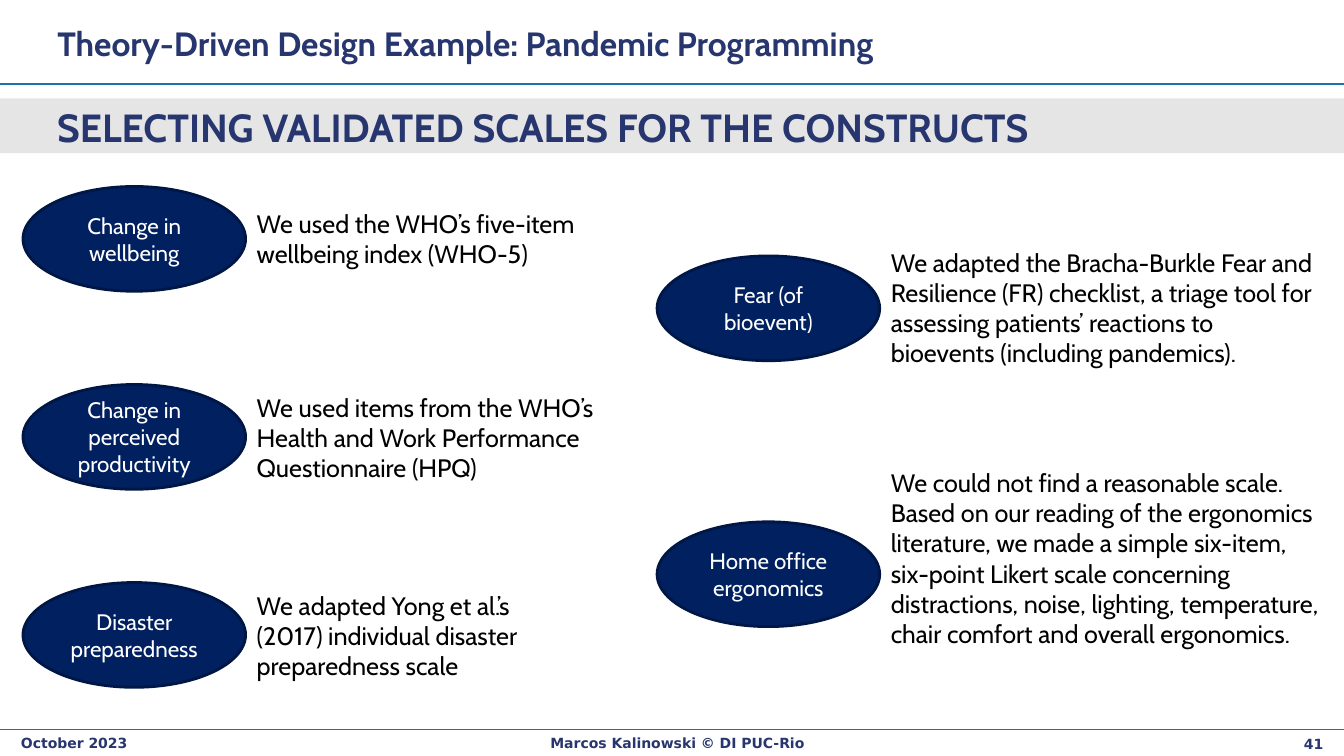
"""Build the slide on validated scales for the pandemic programming constructs."""
import pptx
import pptx.dml.color
import pptx.enum.shapes
import pptx.enum.text
import pptx.oxml
import pptx.util
from pptx.util import Cm

NAVY = "27366E"
ALIGN = pptx.enum.text.PP_ALIGN
ANCHOR = pptx.enum.text.MSO_ANCHOR
SHAPE = pptx.enum.shapes.MSO_SHAPE


def color(value):
    return pptx.dml.color.RGBColor.from_string(value)


def write(shape, text, size, text_color, bold=False, font="Cabin",
          align=ALIGN.LEFT, anchor=ANCHOR.TOP):
    frame = shape.text_frame
    frame.text = text
    frame.word_wrap = True
    frame.auto_size = pptx.enum.text.MSO_AUTO_SIZE.NONE
    frame.vertical_anchor = anchor
    paragraph = frame.paragraphs[0]
    paragraph.alignment = align
    run_font = paragraph.runs[0].font
    run_font.name = font
    run_font.size = pptx.util.Pt(size)
    run_font.bold = bold
    run_font.color.rgb = color(text_color)


presentation = pptx.Presentation()
presentation.slide_width = Cm(33.87)
presentation.slide_height = Cm(19.05)
slide = presentation.slides.add_slide(presentation.slide_layouts[5])
shapes = slide.shapes

title = shapes.title
title.left, title.top, title.width, title.height = Cm(1.19), Cm(0.3), Cm(29.29), Cm(1.57)
write(title, "Theory-Driven Design Example: Pandemic Programming", 24, NAVY,
      bold=True, anchor=ANCHOR.MIDDLE)

for rule_top in (2.12, 18.38):
    rule = shapes.add_connector(pptx.enum.shapes.MSO_CONNECTOR.STRAIGHT,
                                Cm(0), Cm(rule_top), Cm(33.87), Cm(rule_top))
    rule.line.color.rgb = color("2172AC")
    rule.line.width = pptx.util.Pt(1)
    rule._element.spPr.append(pptx.oxml.parse_xml(
        '<a:effectLst xmlns:a="http://schemas.openxmlformats.org/drawingml/2006/main"/>'))

band = shapes.add_shape(SHAPE.RECTANGLE, Cm(0), Cm(2.48), Cm(33.87), Cm(1.38))
band.shadow.inherit = False
band.fill.solid()
band.fill.fore_color.rgb = color("E5E5E5")
band.line.fill.background()
heading = shapes.add_textbox(Cm(1.19), Cm(2.48), Cm(25.35), Cm(1.45))
write(heading, "SELECTING VALIDATED SCALES FOR THE CONSTRUCTS", 28, NAVY, bold=True)

LEFT_COLUMN, RIGHT_COLUMN = 0.58, 16.56
constructs = [
    (LEFT_COLUMN, 4.7, "Change in wellbeing", 5.13, 9.42, 1.8,
     "We used the WHO’s five-item wellbeing index (WHO-5)"),
    (LEFT_COLUMN, 9.69, "Change in perceived productivity", 9.75, 9.42, 2.57,
     "We used items from the WHO’s Health and Work Performance Questionnaire (HPQ)"),
    (LEFT_COLUMN, 14.68, "Disaster preparedness", 14.74, 7.9, 2.57,
     "We adapted Yong et al.’s (2017) individual disaster preparedness scale"),
    (RIGHT_COLUMN, 6.45, "Fear (of bioevent)", 6.1, 11.35, 3.33,
     "We adapted the Bracha-Burkle Fear and Resilience (FR) checklist, a triage tool "
     "for assessing patients’ reactions to bioevents (including pandemics)."),
    (RIGHT_COLUMN, 13.15, "Home office ergonomics", 11.65, 11.35, 5.64,
     "We could not find a reasonable scale. Based on our reading of the ergonomics "
     "literature, we made a simple six-item, six-point Likert scale concerning "
     "distractions, noise, lighting, temperature, chair comfort and overall ergonomics."),
]
for left, top, construct, scale_top, scale_width, scale_height, scale in constructs:
    ellipse = shapes.add_shape(SHAPE.OVAL, Cm(left), Cm(top), Cm(5.61), Cm(2.64))
    ellipse.shadow.inherit = False
    ellipse.fill.solid()
    ellipse.fill.fore_color.rgb = color("002060")
    ellipse.line.color.rgb = color("001746")
    ellipse.line.width = pptx.util.Pt(2)
    write(ellipse, construct, 16, "FFFFFF", align=ALIGN.CENTER, anchor=ANCHOR.MIDDLE)
    description = shapes.add_textbox(Cm(left + 5.64), Cm(scale_top),
                                     Cm(scale_width), Cm(scale_height))
    write(description, scale, 18, "000000")

footers = [
    (0.28, 18.39, 7.01, "October 2023", ALIGN.LEFT),
    (6.2, 18.39, 21.74, "Marcos Kalinowski © DI PUC-Rio", ALIGN.CENTER),
    (29.74, 18.42, 3.86, "41", ALIGN.RIGHT),
]
for left, top, width, text, align in footers:
    footer = shapes.add_textbox(Cm(left), Cm(top), Cm(width), Cm(0.63))
    write(footer, text, 10, NAVY, bold=True, font="DejaVu Sans", align=align)

presentation.save("out.pptx")
